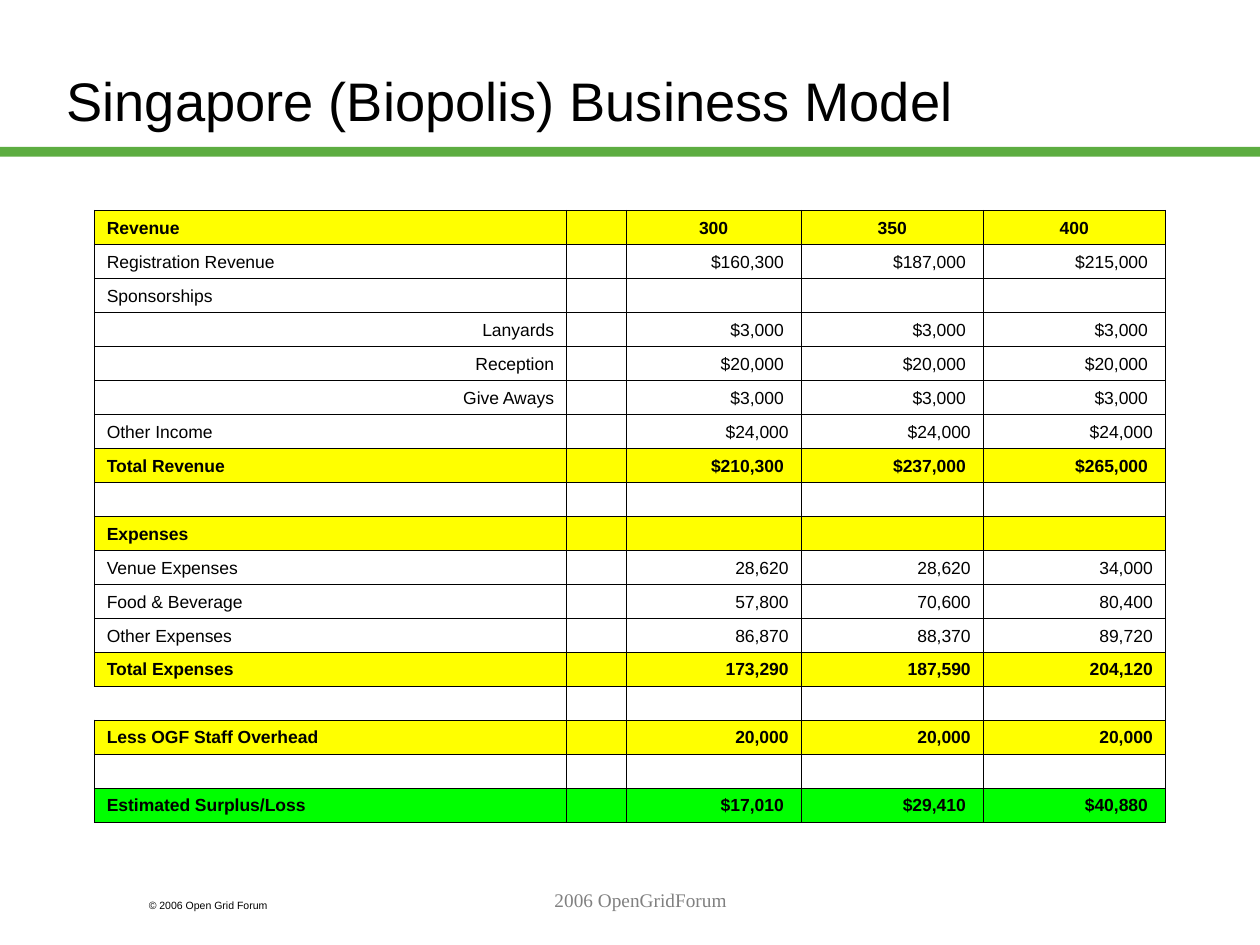
from lxml.etree import SubElement as Sub
from pptx import Presentation
from pptx.dml.color import RGBColor as RGB
from pptx.enum.shapes import MSO_SHAPE as Shape
from pptx.enum.text import MSO_ANCHOR as Anchor, MSO_AUTO_SIZE as Fit, PP_ALIGN as Align
from pptx.oxml.ns import qn
from pptx.util import Cm, Pt

HUES = {"ink": "000000", "grey": "808080", "band": "5DAD41",
        "head": "FFFF00", "sum": "00FF00"}
LEFT, MID, RIGHT = Align.LEFT, Align.CENTER, Align.RIGHT
COLS = (9.52, 1.2, 3.53, 3.67, 3.67)
ROWS = [
    ("head", LEFT, MID, "Revenue", "300", "350", "400"),
    (None, LEFT, RIGHT, "Registration Revenue", "$160,300 ", "$187,000 ", "$215,000 "),
    (None, LEFT, RIGHT, "Sponsorships", "", "", ""),
    (None, RIGHT, RIGHT, "Lanyards", "$3,000 ", "$3,000 ", "$3,000 "),
    (None, RIGHT, RIGHT, "Reception", "$20,000 ", "$20,000 ", "$20,000 "),
    (None, RIGHT, RIGHT, "Give Aways", "$3,000 ", "$3,000 ", "$3,000 "),
    (None, LEFT, RIGHT, "Other Income", "$24,000", "$24,000", "$24,000"),
    ("head", LEFT, RIGHT, "Total Revenue", "$210,300 ", "$237,000 ", "$265,000 "),
    (None, LEFT, RIGHT, "", "", "", ""),
    ("head", LEFT, RIGHT, "Expenses", "", "", ""),
    (None, LEFT, RIGHT, "Venue Expenses", "28,620", "28,620", "34,000"),
    (None, LEFT, RIGHT, "Food & Beverage", "57,800", "70,600", "80,400"),
    (None, LEFT, RIGHT, "Other Expenses", "86,870", "88,370", "89,720"),
    ("head", LEFT, RIGHT, "Total Expenses", "173,290", "187,590", "204,120"),
    (None, LEFT, RIGHT, "", "", "", ""),
    ("head", LEFT, RIGHT, "Less OGF Staff Overhead", "20,000", "20,000", "20,000"),
    (None, LEFT, RIGHT, "", "", "", ""),
    ("sum", LEFT, RIGHT, "Estimated Surplus/Loss", "$17,010 ", "$29,410 ", "$40,880 "),
]
OPEN_ROW = 14


def write(frame, text, size, font="Arial", hue="ink", bold=False, align=LEFT):
    """Put one formatted paragraph into a text frame."""
    par = frame.paragraphs[0]
    par.alignment = align
    if not text:
        Sub(par._p, qn("a:endParaRPr"), sz=str(size * 100))
        return
    run = par.add_run()
    run.text = text
    run.font.size, run.font.name, run.font.bold = Pt(size), font, bold
    run.font.color.rgb = RGB.from_string(HUES[hue])


def paint(fill, hue):
    """Fill with a named colour, or leave clear when there is none."""
    if hue:
        fill.solid()
        fill.fore_color.rgb = RGB.from_string(HUES[hue])
    else:
        fill.background()


def edge(cell, is_open):
    """Draw thin borders round a cell, without the left one if it is open."""
    props = cell._tc.get_or_add_tcPr()
    for side in ("lnL", "lnR", "lnT", "lnB"):
        line = Sub(props, qn(f"a:{side}"), w=str(Pt(0.45)))
        if is_open and side == "lnL":
            Sub(line, qn("a:noFill"))
        else:
            Sub(Sub(line, qn("a:solidFill")), qn("a:srgbClr"), val=HUES["ink"])


def head(slide, x, y, w, h):
    """Place the title and the green band that crosses the slide at its foot."""
    band = slide.shapes.add_shape(Shape.RECTANGLE, 0, Cm(y + h - 0.65), Cm(25.4), Cm(0.2))
    band.shadow.inherit = False
    band.line.fill.background()
    paint(band.fill, "band")
    title = slide.shapes.title
    title.left, title.top, title.width, title.height = map(Cm, (x, y, w, h))
    frame = title.text_frame
    frame.auto_size, frame.vertical_anchor = Fit.NONE, Anchor.MIDDLE
    write(frame, "Singapore (Biopolis) Business Model", 31)


def budget(slide, x, y, w, h):
    """Place the table of revenue and expenses."""
    grid = slide.shapes.add_table(len(ROWS), len(COLS), *map(Cm, (x, y, w, h))).table
    grid.first_row = grid.horz_banding = False
    for col, wide in zip(grid.columns, COLS):
        col.width = Cm(wide * w / sum(COLS))
    for i, (hue, side, align, label, *sums) in enumerate(ROWS):
        grid.rows[i].height = Cm(h / len(ROWS))
        for j, text in enumerate((label, "", *sums)):
            cell = grid.cell(i, j)
            edge(cell, i == OPEN_ROW and j == 0)
            paint(cell.fill, hue)
            cell.vertical_anchor = Anchor.BOTTOM
            write(cell.text_frame, text, 10, bold=bool(hue),
                  align=align if j else side)


def note(slide, x, y, w, h, text, size, **look):
    """Place one line of text at the foot of the slide."""
    frame = slide.shapes.add_textbox(*map(Cm, (x, y, w, h))).text_frame
    frame.word_wrap = True
    write(frame, text, size, **look)


def main():
    """Build the slide and save it."""
    deck = Presentation()
    deck.slide_width, deck.slide_height = Cm(25.4), Cm(19.05)
    slide = deck.slides.add_slide(deck.slide_layouts[5])
    head(slide, 1.09, 0.43, 21.59, 3.18)
    budget(slide, 1.9, 4.24, 21.59, 12.33)
    note(slide, 2.75, 18, 3.81, 0.51, "© 2006 Open Grid Forum", 6)
    note(slide, 5.51, 17.78, 14.81, 1.27, "2006 OpenGridForum", 11,
         font="Times New Roman", hue="grey", align=MID)
    deck.save("out.pptx")


if __name__ == "__main__":
    main()
